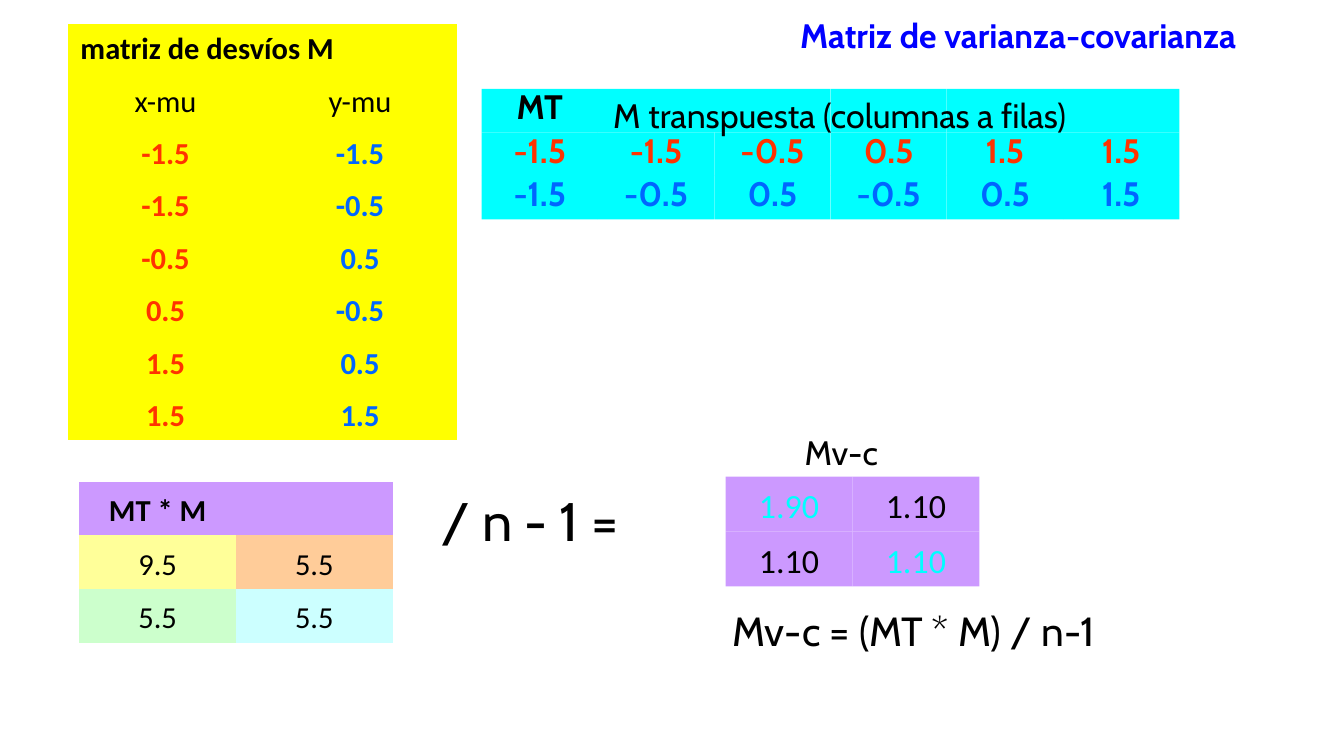
from dataclasses import dataclass

from pptx import Presentation
from pptx.dml.color import RGBColor
from pptx.enum import shapes, text
from pptx.shapes.group import GroupShape
from pptx.slide import Slide
from pptx.table import _Cell as Cell
from pptx.text.text import TextFrame
from pptx.util import Inches, Pt

BLACK = RGBColor(0x00, 0x00, 0x00)
BLUE = RGBColor(0x00, 0x00, 0xFF)
RED_ORANGE = RGBColor(0xFF, 0x33, 0x00)
SKY_BLUE = RGBColor(0x00, 0x66, 0xFF)
CYAN = RGBColor(0x00, 0xFF, 0xFF)
YELLOW = RGBColor(0xFF, 0xFF, 0x00)
PURPLE = RGBColor(0xCC, 0x99, 0xFF)
PALE_YELLOW = RGBColor(0xFF, 0xFF, 0x99)
PEACH = RGBColor(0xFF, 0xCC, 0x99)
PALE_GREEN = RGBColor(0xCC, 0xFF, 0xCC)
PALE_CYAN = RGBColor(0xCC, 0xFF, 0xFF)

PLAIN_TABLE_STYLE = "{2D5ABB26-0587-4C30-8999-92F81FD0307C}"
LEFT, CENTER = text.PP_ALIGN.LEFT, text.PP_ALIGN.CENTER

DEVIATIONS = [("-1.5", "-1.5"), ("-1.5", "-0.5"), ("-0.5", "0.5"),
              ("0.5", "-0.5"), ("1.5", "0.5"), ("1.5", "1.5")]
COVARIANCES = [("1.90", "1.10"), ("1.10", "1.10")]


@dataclass(frozen=True)
class Style:
    size: float
    font: str = "Cabin"
    color: RGBColor = BLACK
    bold: bool = False
    align: text.PP_ALIGN = CENTER


@dataclass(frozen=True)
class Box:
    left: float
    top: float
    width: float
    height: float


@dataclass(frozen=True)
class Entry:
    words: str
    style: Style
    fill: RGBColor


@dataclass(frozen=True)
class Label:
    words: str
    box: Box
    size: float


def write(text_frame: TextFrame, words: str, style: Style) -> None:
    text_frame.text = words
    paragraph = text_frame.paragraphs[0]
    paragraph.alignment = style.align
    for run in paragraph.runs:
        run.font.size = Pt(style.size)
        run.font.name = style.font
        run.font.bold = style.bold
        run.font.color.rgb = style.color


def add_title(slide: Slide, words: str, box: Box) -> None:
    title = slide.shapes.title
    title.left, title.top = Inches(box.left), Inches(box.top)
    title.width, title.height = Inches(box.width), Inches(box.height)
    title.text_frame.vertical_anchor = text.MSO_ANCHOR.TOP
    title.text_frame.auto_size = text.MSO_AUTO_SIZE.NONE
    write(title.text_frame, words, Style(20, color=BLUE, bold=True, align=LEFT))


def add_label(parent: Slide | GroupShape, label: Label) -> None:
    box = label.box
    shape = parent.shapes.add_textbox(Inches(box.left), Inches(box.top),
                                      Inches(box.width), Inches(box.height))
    shape.text_frame.word_wrap = False
    shape.text_frame.auto_size = text.MSO_AUTO_SIZE.SHAPE_TO_FIT_TEXT
    write(shape.text_frame, label.words, Style(label.size, align=LEFT))


def add_tile(group: GroupShape, box: Box, entry: Entry) -> None:
    shape = group.shapes.add_shape(
        shapes.MSO_SHAPE.RECTANGLE, Inches(box.left), Inches(box.top),
        Inches(box.width), Inches(box.height))
    shape.shadow.inherit = False
    shape.fill.solid()
    shape.fill.fore_color.rgb = entry.fill
    shape.line.fill.background()
    shape.text_frame.word_wrap = True
    shape.text_frame.vertical_anchor = text.MSO_ANCHOR.BOTTOM
    write(shape.text_frame, entry.words, entry.style)


def fill_cell(cell: Cell, entry: Entry) -> None:
    cell.fill.solid()
    cell.fill.fore_color.rgb = entry.fill
    cell.vertical_anchor = text.MSO_ANCHOR.BOTTOM
    write(cell.text_frame, entry.words, entry.style)
    cell.text_frame.paragraphs[0].line_spacing = 0.98


def add_matrix_table(slide: Slide, box: Box, rows: list[list[Entry]],
                     heights: list[float], merge_header: bool = False) -> None:
    frame = slide.shapes.add_table(len(rows), len(rows[0]), Inches(box.left),
                                   Inches(box.top), Inches(box.width), Inches(box.height))
    table = frame.table
    table.first_row = table.horz_banding = False
    table._tbl.tblPr.find("{*}tableStyleId").text = PLAIN_TABLE_STYLE
    for row, height in zip(table.rows, heights):
        row.height = Inches(height)
    for row_index, entries in enumerate(rows):
        for column_index, entry in enumerate(entries):
            fill_cell(table.cell(row_index, column_index), entry)
    if merge_header:
        table.cell(0, 0).merge(table.cell(0, len(rows[0]) - 1))


def add_deviation_table(slide: Slide) -> None:
    heading = Style(18, "Calibri", bold=True, align=LEFT)
    plain = Style(18, "Calibri")
    rows = [[Entry("matriz de desvíos M", heading, YELLOW), Entry("", heading, YELLOW)],
            [Entry(name, plain, YELLOW) for name in ("x-mu", "y-mu")]]
    for pair in DEVIATIONS:
        rows.append([Entry(value, Style(18, "Calibri", color, True), YELLOW)
                     for value, color in zip(pair, (RED_ORANGE, SKY_BLUE))])
    add_matrix_table(slide, Box(0.56, 0.2, 3.19, 3.41), rows, [0.4] + [0.43] * 7, True)


def add_product_table(slide: Slide) -> None:
    heading, plain = Style(18, "Calibri", bold=True), Style(18, "Calibri")
    rows = [[Entry("MT * M", heading, PURPLE), Entry("", heading, PURPLE)],
            [Entry("9.5", plain, PALE_YELLOW), Entry("5.5", plain, PEACH)],
            [Entry("5.5", plain, PALE_GREEN), Entry("5.5", plain, PALE_CYAN)]]
    add_matrix_table(slide, Box(0.65, 3.95, 2.57, 1.31), rows, [0.44] * 3)


def add_transpose(slide: Slide) -> None:
    group = slide.shapes.add_group_shape()
    area = Box(3.95, 0.73, 5.72, 1.07)
    width, height = area.width / len(DEVIATIONS), area.height / 3
    x_values, y_values = zip(*DEVIATIONS)
    rows = [(("MT", "", "", "", "", ""), BLACK),
            (x_values, RED_ORANGE), (y_values, SKY_BLUE)]
    for row_index, (values, color) in enumerate(rows):
        for column, value in enumerate(values):
            if row_index == 0 and column == 2:
                continue  # covered by the double-width header tile
            span = 2 if row_index == 0 and column == 1 else 1
            add_tile(group, Box(area.left + column * width, area.top + row_index * height,
                                width * span, height),
                     Entry(value, Style(20, color=color, bold=True), CYAN))
    add_label(group, Label("M transpuesta (columnas a filas)",
                           Box(4.93, 0.73, 4.43, 0.44), 20))


def add_covariance_matrix(slide: Slide) -> None:
    group = slide.shapes.add_group_shape()
    width, height = 1.04, 0.45
    for row_index, values in enumerate(COVARIANCES):
        for column, value in enumerate(values):
            color = CYAN if row_index == column else BLACK
            add_tile(group, Box(5.95 + column * width, 3.91 + row_index * height, width, height),
                     Entry(value, Style(20, "Calibri", color), PURPLE))
    add_label(group, Label("Mv-c", Box(6.5, 3.49, 0.81, 0.44), 20))
    add_label(group, Label("Mv-c = (MT * M) / n-1", Box(5.91, 4.92, 3.51, 0.5), 24))


def main() -> None:
    presentation = Presentation()
    presentation.slide_width, presentation.slide_height = Inches(11.02), Inches(6.2)
    slide = presentation.slides.add_slide(presentation.slide_layouts.get_by_name("Title Only"))

    # Title, deviations and their transpose
    add_title(slide, "Matriz de varianza-covarianza", Box(6.46, 0.07, 4.37, 0.44))
    add_deviation_table(slide)
    add_transpose(slide)

    # Product divided by n - 1 gives the covariance matrix
    add_product_table(slide)
    add_label(slide, Label(" / n - 1 =", Box(3.42, 3.95, 1.87, 0.64), 32))
    add_covariance_matrix(slide)
    presentation.save("out.pptx")


if __name__ == "__main__":
    main()
